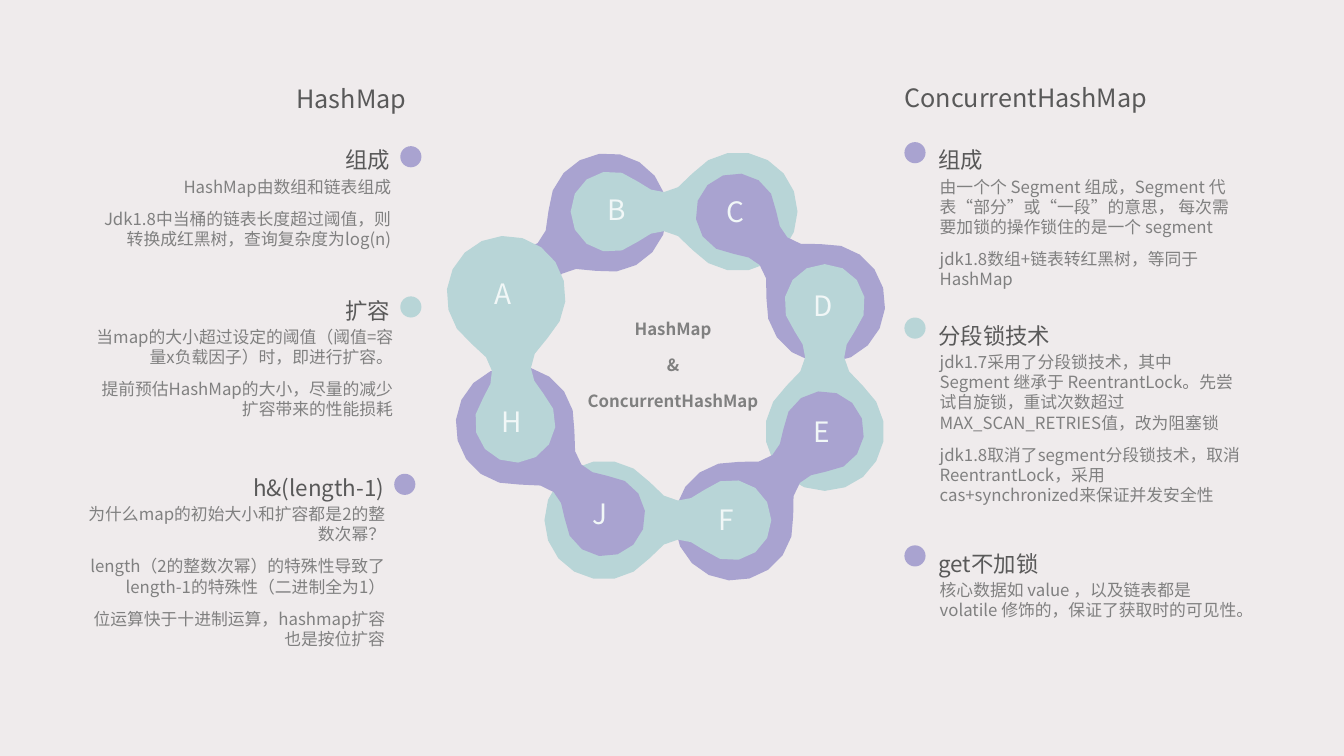
"""Build a slide comparing HashMap and ConcurrentHashMap around a ring of linked circles."""
import math

import pptx
import pptx.dml.color
import pptx.enum.shapes
import pptx.enum.text
import pptx.util

WIDTH, HEIGHT = 13.33, 7.5
FONT = "Noto Sans CJK SC"
COLOURS = {
    "background": "EFEBEC",
    "purple": "A9A3D0",
    "teal": "B8D5D7",
    "letter": "F1F7F7",
    "heading": "595959",
    "body": "808080",
}

LINKS = [
    ((5.04, 2.89), (6.03, 2.11)),
    ((6.06, 2.10), (7.32, 2.10)),
    ((7.30, 2.12), (8.19, 3.01)),
    ((8.18, 3.02), (8.18, 4.28)),
    ((8.17, 4.28), (7.28, 5.17)),
    ((7.25, 5.16), (5.99, 5.16)),
    ((6.00, 5.12), (5.11, 4.22)),
    ((5.11, 4.19), (5.02, 2.93)),
]
LETTERS = [
    ("C", 7.11, 1.90, 0.40),
    ("F", 7.03, 4.96, 0.42),
    ("E", 7.97, 4.08, 0.40),
    ("D", 7.97, 2.83, 0.40),
    ("A", 4.81, 2.71, 0.45),
    ("H", 4.88, 3.98, 0.45),
    ("J", 5.78, 4.90, 0.42),
    ("B", 5.93, 1.88, 0.26),
]
CENTRE = ["HashMap", "&", "ConcurrentHashMap"]
TITLES = [
    ("ConcurrentHashMap", (8.97, 0.76, 2.77, 0.36)),
    ("HashMap", (2.94, 0.77, 1.45, 0.36)),
]
TOPICS = [
    ("right", 8.97, 5.40, 3.01, 0.40, "purple", "get不加锁", [
        "核心数据如 value ，以及链表都是 volatile 修饰的，保证了获取时的可见性。",
    ]),
    ("right", 8.97, 3.14, 3.01, 1.54, "teal", "分段锁技术", [
        "jdk1.7采用了分段锁技术，其中 Segment 继承于 ReentrantLock。先尝试自旋锁，重试次数超过MAX_SCAN_RETRIES值，改为阻塞锁",
        "jdk1.8取消了segment分段锁技术，取消ReentrantLock，采用cas+synchronized来保证并发安全性",
    ]),
    ("left", 3.97, 1.40, 3.01, 1.06, "purple", "组成", [
        "HashMap由数组和链表组成",
        "Jdk1.8中当桶的链表长度超过阈值，则转换成红黑树，查询复杂度为log(n)",
    ]),
    ("left", 3.97, 2.89, 3.03, 0.93, "teal", "扩容", [
        "当map的大小超过设定的阈值（阈值=容量x负载因子）时，即进行扩容。",
        "提前预估HashMap的大小，尽量的减少扩容带来的性能损耗",
    ]),
    ("left", 3.91, 4.65, 3.01, 1.46, "purple", "h&(length-1)", [
        "为什么map的初始大小和扩容都是2的整数次幂？",
        "length（2的整数次幂）的特殊性导致了length-1的特殊性（二进制全为1）",
        "位运算快于十进制运算，hashmap扩容也是按位扩容",
    ]),
    ("right", 8.97, 1.40, 3.01, 1.14, "purple", "组成", [
        "由一个个 Segment 组成，Segment 代表“部分”或“一段”的意思， 每次需要加锁的操作锁住的是一个 segment",
        "jdk1.8数组+链表转红黑树，等同于HashMap",
    ]),
]
SIDES = {
    "left": {"align": "RIGHT", "heading": -3.13, "body": -3.10, "dot": 0.05},
    "right": {"align": "LEFT", "heading": 0.34, "body": 0.35, "dot": 0.01},
}
DOT, HEADING_WIDTH, HEADING_HEIGHT, BODY_DROP = 0.21, 3.03, 0.32, 0.35
SMALL, BIG = 0.40, 0.59
SMALL_STEPS, NECK_STEPS, BIG_STEPS = 5, 4, 7
NECK = [(0.27, 0.30), (0.44, 0.16), (0.60, 0.13), (0.82, 0.38)]

deck = pptx.Presentation()
deck.slide_width = pptx.util.Inches(WIDTH)
deck.slide_height = pptx.util.Inches(HEIGHT)
slide = deck.slides.add_slide(deck.slide_layouts[6])


def paint(fill, colour):
    fill.solid()
    fill.fore_color.rgb = pptx.dml.color.RGBColor.from_string(COLOURS[colour])


def add_text(lines, place, size=12, colour="body", align="LEFT", bold=False,
             spacing=None, before=0, inset=0.0, anchor="TOP", grow=True):
    box = slide.shapes.add_textbox(*map(pptx.util.Inches, place))
    frame = box.text_frame
    frame.word_wrap = True
    frame.margin_left = frame.margin_right = pptx.util.Inches(inset)
    frame.margin_top = frame.margin_bottom = pptx.util.Inches(inset)
    frame.vertical_anchor = getattr(pptx.enum.text.MSO_ANCHOR, anchor)
    sizing = pptx.enum.text.MSO_AUTO_SIZE
    frame.auto_size = sizing.SHAPE_TO_FIT_TEXT if grow else sizing.NONE
    for number, line in enumerate(lines):
        paragraph = frame.add_paragraph() if number else frame.paragraphs[0]
        paragraph.alignment = getattr(pptx.enum.text.PP_ALIGN, align)
        paragraph.line_spacing = spacing
        paragraph.space_before = pptx.util.Pt(before)
        run = paragraph.add_run()
        run.text = line
        run.font.name = FONT
        run.font.size = pptx.util.Pt(size)
        run.font.bold = bold
        paint(run.font.fill, colour)


def arc(centre, radius, start, end, steps):
    angles = [math.radians(start + (end - start) * i / steps) for i in range(steps + 1)]
    return [(centre + radius * math.cos(a), radius * math.sin(a)) for a in angles]


def curve(points, steps):
    shares = [i / steps for i in range(1, steps)]
    return [tuple(sum(math.comb(3, k) * (1 - t) ** (3 - k) * t ** k * points[k][axis]
                      for k in range(4)) for axis in (0, 1)) for t in shares]


def finish(shape, colour):
    shape.shadow.inherit = False
    shape.line.fill.background()
    paint(shape.fill, colour)


def add_link(small, big, colour):
    length = math.dist(small, big)
    cos, sin = (big[0] - small[0]) / length, (big[1] - small[1]) / length
    half = (arc(0, SMALL, 180, 48, SMALL_STEPS) + curve(NECK, NECK_STEPS)
            + arc(length, BIG, 140, 0, BIG_STEPS))
    outline = half + [(x, -y) for x, y in half[-2:0:-1]]
    points = [(pptx.util.Inches(small[0] + x * cos - y * sin),
               pptx.util.Inches(small[1] + x * sin + y * cos)) for x, y in outline]
    builder = slide.shapes.build_freeform(*points[0])
    builder.add_line_segments(points[1:], close=True)
    finish(builder.convert_to_shape(), colour)


def add_topic(side, x, y, width, height, colour, heading, lines):
    layout = SIDES[side]
    add_text([heading], (x + layout["heading"], y, HEADING_WIDTH, HEADING_HEIGHT), size=16,
             colour="heading", align=layout["align"], spacing=1.2, before=17)
    add_text(lines, (x + layout["body"], y + BODY_DROP, width, height),
             align=layout["align"], before=8.5)
    dot = slide.shapes.add_shape(pptx.enum.shapes.MSO_SHAPE.ROUNDED_RECTANGLE,
                                 *map(pptx.util.Inches, (x, y + layout["dot"], DOT, DOT)))
    dot.adjustments[0] = 0.5
    finish(dot, colour)


paint(slide.background.fill, "background")
for position, (small, big) in enumerate(LINKS):
    add_link(small, big, ("purple", "teal")[position % 2])
for letter, x, y, width in LETTERS:
    add_text([letter], (x, y, width, 0.39), size=20, colour="letter",
             inset=0.1, anchor="MIDDLE", grow=False)
add_text(CENTRE, (5.58, 3.12, 2.19, 1.45), align="CENTER", bold=True,
         spacing=1.2, before=8.5, grow=False)
for title, place in TITLES:
    add_text([title], place, size=18, colour="heading", spacing=1.2, before=17)
for topic in TOPICS:
    add_topic(*topic)

deck.save("out.pptx")
